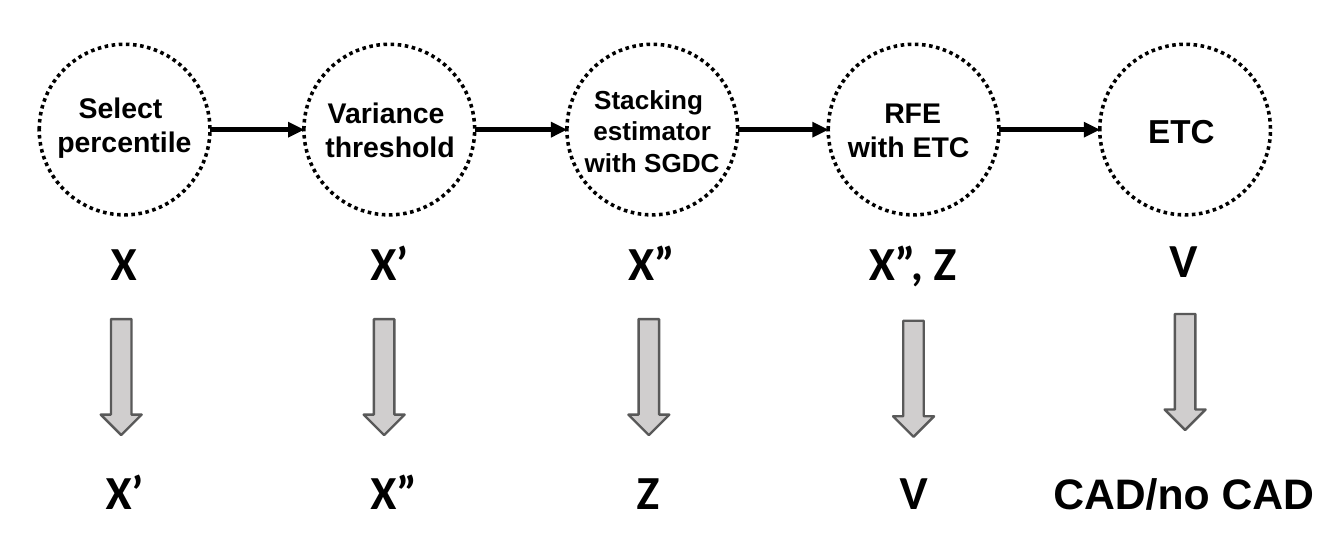
from dataclasses import dataclass
from itertools import pairwise

from lxml.etree import SubElement
from pptx import Presentation
from pptx.dml.color import RGBColor
from pptx.enum.dml import MSO_LINE_DASH_STYLE as Dash
from pptx.enum.shapes import MSO_CONNECTOR as Connector, MSO_SHAPE as Shape
from pptx.enum.text import MSO_AUTO_SIZE as AutoSize, PP_ALIGN as Align
from pptx.oxml.ns import qn
from pptx.util import Inches, Pt

BLACK = RGBColor(0x00, 0x00, 0x00)
GRAY = RGBColor(0xD0, 0xCE, 0xCE)
DARK_GRAY = RGBColor(0x59, 0x59, 0x59)

CIRCLE_TOP = 0.26
DIAMETER = 1
FLOW_Y = CIRCLE_TOP + DIAMETER / 2


@dataclass
class Stage:
    circle_left: float
    label_box: tuple
    label_lines: list
    arrow_at: tuple
    source: tuple
    result: tuple


STAGES = [
    Stage(0.23, (0.23, 0.48, 1, 0.5),
          [[("Select ", 12)], [("percentile", 12)]], (0.59, 1.87),
          ("X", 0.55, 1.32, 0.36), ("X’", 0.52, 2.66, 0.43)),
    Stage(1.78, (1.8, 0.51, 0.97, 0.5),
          [[("Variance ", 12)], [("threshold", 12)]], (2.13, 1.87),
          ("X’", 2.07, 1.32, 0.43), ("X”", 2.07, 2.66, 0.48)),
    Stage(3.32, (3.32, 0.44, 1, 0.66),
          [[("Stacking ", 11)], [("estimator", 11)], [("with SGDC", 11)]], (3.68, 1.87),
          ("X”", 3.58, 1.32, 0.48), ("Z", 3.63, 2.66, 0.34)),
    Stage(4.85, (4.86, 0.51, 0.97, 0.5),
          [[("RFE", 12)], [("with ETC ", 12)]], (5.23, 1.88),
          ("X”, Z", 4.99, 1.32, 0.72), ("V", 5.17, 2.66, 0.37)),
    Stage(6.44, (6.62, 0.6, 0.64, 0.34),
          [[("ETC", 14), (" ", 11)]], (6.82, 1.84),
          ("V", 6.75, 1.3, 0.37), None),
]


class PipelineSlide:
    label_font = "Arial"
    variable_font = "Calibri"

    def __init__(self, slide):
        self.slide = slide

    def text(self, shapes, box, lines, font, align):
        caption = shapes.add_textbox(*map(Inches, box))
        frame = caption.text_frame
        frame.word_wrap = False
        frame.auto_size = AutoSize.SHAPE_TO_FIT_TEXT
        for index, line in enumerate(lines):
            paragraph = frame.add_paragraph() if index else frame.paragraphs[0]
            paragraph.alignment = align
            for words, size in line:
                run = paragraph.add_run()
                run.text = words
                run.font.name = font
                run.font.size = Pt(size)
                run.font.bold = True
                run.font.color.rgb = BLACK

    def circle(self, stage):
        group = self.slide.shapes.add_group_shape()
        ring = group.shapes.add_shape(
            Shape.OVAL, Inches(stage.circle_left), Inches(CIRCLE_TOP),
            Inches(DIAMETER), Inches(DIAMETER))
        ring.shadow.inherit = False
        ring.fill.background()
        ring.line.color.rgb = BLACK
        ring.line.width = Pt(1.5)
        ring.line.dash_style = Dash.ROUND_DOT
        self.text(group.shapes, stage.label_box, stage.label_lines,
                  self.label_font, Align.CENTER)

    def variable(self, name, left, top, width):
        self.text(self.slide.shapes, (left, top, width, 0.44), [[(name, 20)]],
                  self.variable_font, Align.LEFT)

    def outcome(self, name, box):
        self.text(self.slide.shapes, box, [[(name, 18)]], self.label_font, Align.LEFT)

    def down_arrow(self, left, top):
        arrow = self.slide.shapes.add_shape(
            Shape.DOWN_ARROW, Inches(left), Inches(top), Inches(0.24), Inches(0.68))
        arrow.shadow.inherit = False
        arrow.fill.solid()
        arrow.fill.fore_color.rgb = GRAY
        arrow.line.color.rgb = DARK_GRAY
        arrow.line.width = Pt(1)

    def flow(self, start, end):
        link = self.slide.shapes.add_connector(
            Connector.STRAIGHT, Inches(start), Inches(FLOW_Y), Inches(end), Inches(FLOW_Y))
        link.line.color.rgb = BLACK
        link.line.width = Pt(2.25)
        SubElement(link.line._get_or_add_ln(), qn("a:tailEnd"), type="triangle")
        SubElement(link._element.spPr, qn("a:effectLst"))


def main():
    deck = Presentation()
    deck.slide_width = Inches(7.87)
    deck.slide_height = Inches(3.2)
    pipeline = PipelineSlide(deck.slides.add_slide(deck.slide_layouts[6]))

    for stage in STAGES:
        pipeline.circle(stage)
        pipeline.variable(*stage.source)
        pipeline.down_arrow(*stage.arrow_at)
        if stage.result:
            pipeline.variable(*stage.result)
    pipeline.outcome("CAD/no CAD", (6.07, 2.69, 1.74, 0.4))

    for current, following in pairwise(STAGES):
        pipeline.flow(current.circle_left + DIAMETER, following.circle_left)

    deck.save("out.pptx")


if __name__ == "__main__":
    main()
